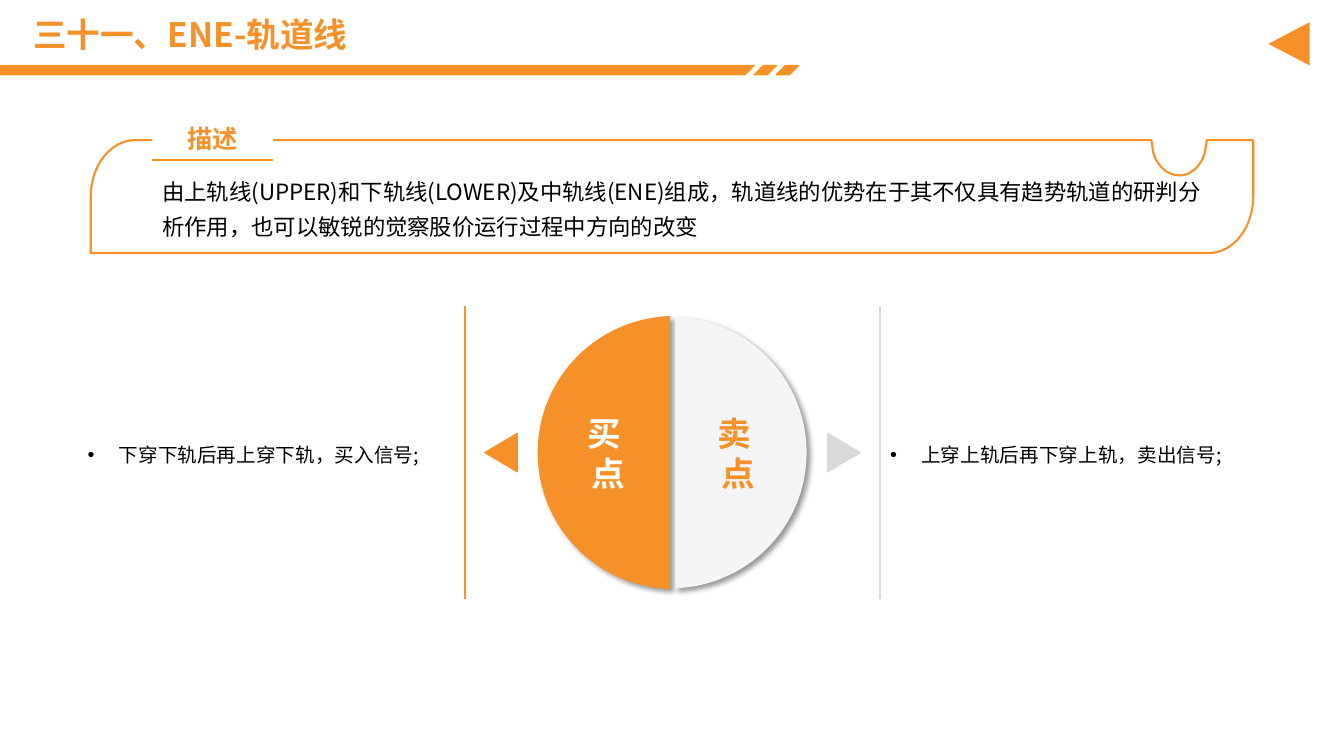
from lxml import etree
from pptx import Presentation
from pptx.dml.color import RGBColor
from pptx.enum.shapes import MSO_CONNECTOR, MSO_SHAPE
from pptx.enum.text import MSO_ANCHOR, PP_ALIGN
from pptx.oxml.ns import qn
from pptx.util import Inches, Pt

STRAIGHT = MSO_CONNECTOR.STRAIGHT
TRIANGLE, RECTANGLE = MSO_SHAPE.ISOSCELES_TRIANGLE, MSO_SHAPE.RECTANGLE
MIDDLE, CENTER = MSO_ANCHOR.MIDDLE, PP_ALIGN.CENTER

FONT = "Noto Sans CJK SC"
COLORS = {"orange": "F69129", "edge": "F69621", "pale": "F5F5F5",
          "gray": "D9D9D9", "white": "FFFFFF", "black": "000000"}

TITLE = "三十一、ENE-轨道线"
LABEL = "描述"
DESCRIPTION = ("由上轨线(UPPER)和下轨线(LOWER)及中轨线(ENE)组成，"
               "轨道线的优势在于其不仅具有趋势轨道的研判分析作用，"
               "也可以敏锐的觉察股价运行过程中方向的改变")

# Per side: half-disc fill, its outline, label, label colour, label left,
# signal text, text left, text width, accent, rule colour, rule x, arrow left, turn
SIDES = [
    ("orange", "orange", ["买 ", "点"], "white", 5.43,
     "下穿下轨后再上穿下轨，买入信号;", 0.77, 3.82, "orange", "edge", 4.61, 4.78, 270),
    ("pale", None, ["卖 ", "点"], "orange", 6.72,
     "上穿上轨后再下穿上轨，卖出信号;", 8.73, 3.81, "gray", "gray", 8.73, 8.18, 90),
]

# Outlines: 2 numbers are a corner, 6 numbers are a Bézier curve
HALF_DISC = [(6.64, 3.14), (6.64, 5.84), (6.55, 5.83),
             (5.87, 5.76, 5.34, 5.19, 5.34, 4.49),
             (5.34, 3.79, 5.87, 3.22, 6.55, 3.15)]
DISC_AXIS = 6.67
FRAME = [(1.34, 1.39), (11.42, 1.39), (11.44, 1.52),
         (11.48, 1.65, 11.58, 1.74, 11.7, 1.74),
         (11.81, 1.74, 11.91, 1.65, 11.95, 1.52),
         (11.97, 1.39), (12.43, 1.39), (12.43, 1.95),
         (12.43, 2.26, 12.23, 2.51, 11.99, 2.51), (0.9, 2.51), (0.9, 1.95),
         (0.9, 1.64, 1.1, 1.39, 1.34, 1.39)]
BAR_TOP, BAR_BOTTOM, BAR_END, SLANT = 0.65, 0.74, 7.48, 0.09
STRIPE_LEFTS, STRIPE_WIDTH = [7.48, 7.7], 0.13

prs = Presentation()
prs.slide_width, prs.slide_height = Inches(13.33), Inches(7.5)
shapes = prs.slides.add_slide(prs.slide_layouts[6]).shapes


def rgb(name):
    return RGBColor.from_string(COLORS[name])


def paint(s, fill, line=None, width=1):
    s.shadow.inherit = False
    if fill:
        s.fill.solid()
        s.fill.fore_color.rgb = rgb(fill)
    else:
        s.fill.background()
    if line:
        s.line.color.rgb = rgb(line)
        s.line.width = Pt(width)
    else:
        s.line.fill.background()
    return s


def add_outline(outline, fill, line=None, width=1):
    """Draw a closed outline, turning its curved segments into cubic Béziers."""
    ends = [(Inches(seg[-2]), Inches(seg[-1])) for seg in outline]
    builder = shapes.build_freeform(*ends[0], scale=1.0)
    builder.add_line_segments(ends[1:], close=True)
    s = builder.convert_to_shape()
    left, top = s.left, s.top
    straight = list(s._element.iter(qn("a:lnTo")))
    for step, seg in zip(straight, outline[1:]):
        if len(seg) == 6:
            curve = etree.Element(qn("a:cubicBezTo"))
            for x, y in zip(seg[::2], seg[1::2]):
                etree.SubElement(curve, qn("a:pt"), x=str(Inches(x) - left),
                                 y=str(Inches(y) - top))
            step.getparent().replace(step, curve)
    return paint(s, fill, line, width)


def mirror(outline):
    return [tuple(v if i % 2 else 2 * DISC_AXIS - v for i, v in enumerate(seg))
            for seg in outline]


def add_drop_shadow(s):
    effects = s._element.spPr.find(qn("a:effectLst"))
    shadow = etree.SubElement(effects, qn("a:outerShdw"), blurRad=str(Pt(4)),
                              dist=str(Pt(3)), dir="2700000", algn="tl", rotWithShape="0")
    color = etree.SubElement(shadow, qn("a:srgbClr"), val=COLORS["black"])
    etree.SubElement(color, qn("a:alpha"), val="40000")


def add_rule(x1, y1, x2, y2, color):
    s = shapes.add_connector(STRAIGHT, *map(Inches, (x1, y1, x2, y2)))
    s.line.color.rgb = rgb(color)
    s.line.width = Pt(1.5)
    etree.SubElement(s._element.spPr, qn("a:effectLst"))


def add_triangle(box, turn, color, line=None):
    s = paint(shapes.add_shape(TRIANGLE, *map(Inches, box)), color, line)
    s.rotation = turn


def write(s, lines, size, color, bold=False, align=None, spacing=None, bullet=False):
    tf = s.text_frame
    tf.word_wrap = True
    tf.vertical_anchor = MIDDLE
    tf.text = "\n".join(lines)
    for p in tf.paragraphs:
        if bullet:
            pPr = p._p.get_or_add_pPr()
            pPr.set("marL", str(Inches(0.31)))
            pPr.set("indent", str(Inches(-0.31)))
            etree.SubElement(pPr, qn("a:buFont"), typeface="Arial")
            etree.SubElement(pPr, qn("a:buChar"), char="•")
            p.space_after = Pt(6)
        if align is not None:
            p.alignment = align
        if spacing:
            p.line_spacing = spacing
        for r in p.runs:
            r.font.name, r.font.size, r.font.bold = FONT, Pt(size), bold
            r.font.color.rgb = rgb(color)
            etree.SubElement(r._r.get_or_add_rPr(), qn("a:ea"), typeface=FONT)


def add_text(box, lines, size, color, **style):
    s = shapes.add_textbox(*map(Inches, box))
    write(s, lines, size, color, **style)
    return s


# Header
add_outline([(0, BAR_TOP), (BAR_END, BAR_TOP), (BAR_END - SLANT, BAR_BOTTOM),
             (0, BAR_BOTTOM)], "orange", "edge")
for x in STRIPE_LEFTS:
    add_outline([(x + SLANT, BAR_TOP), (x + SLANT + STRIPE_WIDTH, BAR_TOP),
                 (x + STRIPE_WIDTH, BAR_BOTTOM), (x, BAR_BOTTOM)], "orange", "edge")
add_text((0.23, 0.15, 12.19, 0.43), [TITLE], 24, "orange", bold=True, spacing=0.9)
add_triangle((12.57, 0.23, 0.43, 0.41), 270, "orange")

# Buy and sell sides
for outline, side in zip((HALF_DISC, mirror(HALF_DISC)), SIDES):
    (fill, edge, label, label_color, label_x, signal, text_x, text_w,
     accent, rule, rule_x, arrow_x, turn) = side
    add_drop_shadow(add_outline(outline, fill, edge))
    add_text((label_x, 3.99, 1.2, 1.01), label, 24, label_color, bold=True, align=CENTER)
    add_text((text_x, 3.01, text_w, 2.96), [signal], 14, "black", spacing=1.2, bullet=True)
    add_triangle((arrow_x, 4.33, 0.38, 0.32), turn, accent, accent)
    add_rule(rule_x, 3.04, rule_x, 5.94, rule)

# Description
body = add_text((1.51, 1.73, 10.72, 0.64), [DESCRIPTION], 16, "black", spacing=1.3)
body.text_frame.margin_bottom = Inches(0.08)
add_outline(FRAME, None, "orange", 1.5)
tab = paint(shapes.add_shape(RECTANGLE, *map(Inches, (1.51, 1.16, 1.2, 0.43))), "white")
write(tab, [LABEL], 18, "orange", bold=True, align=CENTER)
add_rule(1.51, 1.59, 2.71, 1.59, "orange")

prs.save("out.pptx")
